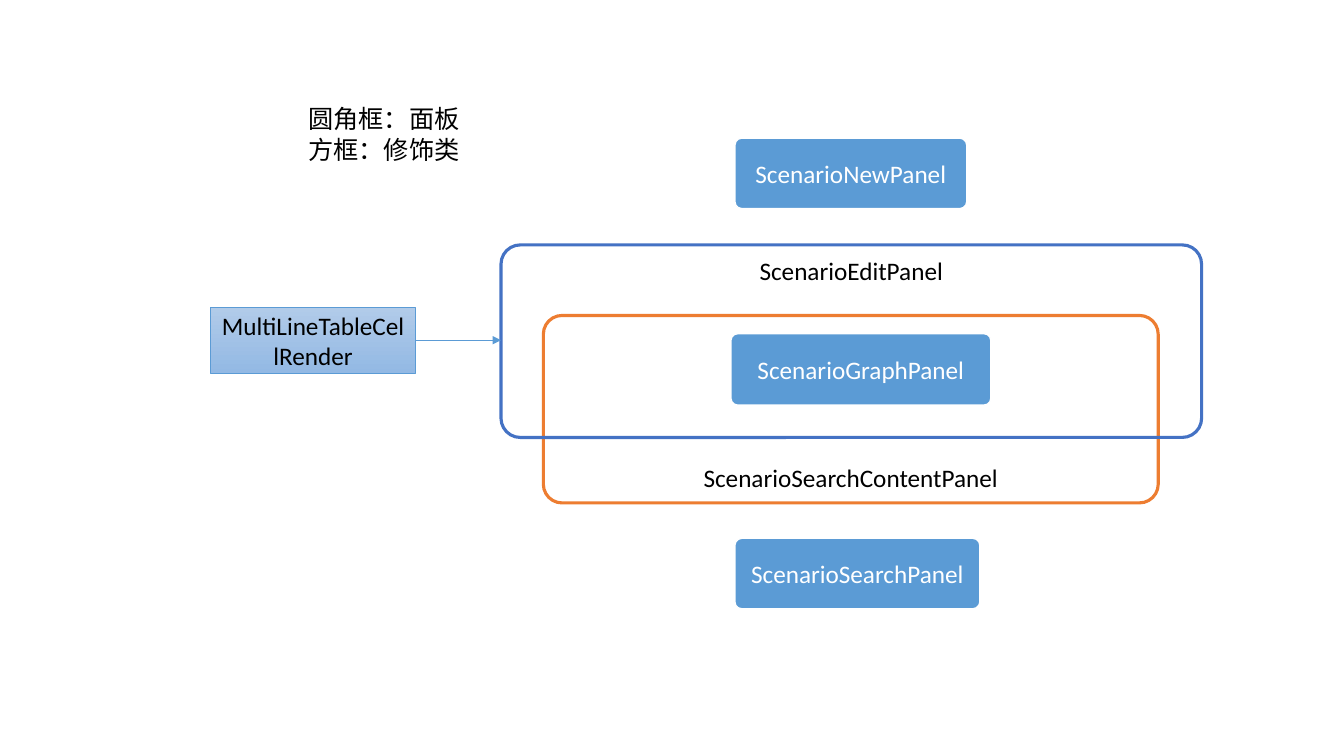
import dataclasses
import typing

import pptx
import pptx.dml.color
import pptx.enum.shapes
import pptx.enum.text
import pptx.oxml
import pptx.oxml.ns
import pptx.util

KIND = pptx.enum.shapes.MSO_SHAPE
ANCHOR = pptx.enum.text.MSO_ANCHOR
ALIGN = pptx.enum.text.PP_ALIGN

BLUE, NAVY, ORANGE = "5B9BD5", "4472C4", "ED7D31"
BLACK, WHITE = "000000", "FFFFFF"

deck = pptx.Presentation()
deck.slide_width = pptx.util.Inches(13.33)
deck.slide_height = pptx.util.Inches(7.5)
slide = deck.slides.add_slide(deck.slide_layouts[6])


@dataclasses.dataclass
class Box:
    """A box with its place in percent of the slide's width and height."""
    text: str
    left: float
    top: float
    width: float
    height: float
    fills: tuple[str, ...] = (BLUE,)
    line: str = WHITE
    weight: float = 1
    ink: str = WHITE
    anchor: typing.Any = ANCHOR.MIDDLE
    kind: typing.Any = KIND.ROUNDED_RECTANGLE


def color(code: str) -> pptx.dml.color.RGBColor:
    return pptx.dml.color.RGBColor.from_string(code)


def across(share: float) -> int:
    return round(deck.slide_width * share / 100)


def down(share: float) -> int:
    return round(deck.slide_height * share / 100)


def write(frame: typing.Any, lines: list[str], ink: str, align: typing.Any) -> None:
    frame.word_wrap = True
    for place, line in enumerate(lines):
        para = frame.add_paragraph() if place else frame.paragraphs[0]
        para.alignment = align
        run = para.add_run()
        run.text = line
        run.font.name = "Calibri"
        run.font.size = pptx.util.Pt(18)
        run.font.color.rgb = color(ink)


def paint(fill: typing.Any, codes: tuple[str, ...]) -> None:
    if not codes:
        fill.background()
    elif len(codes) == 1:
        fill.solid()
        fill.fore_color.rgb = color(codes[0])
    else:
        fill.gradient()
        fill.gradient_angle = 270
        for stop, code in zip(fill.gradient_stops, codes):
            stop.color.rgb = color(code)


def draw(box: Box) -> typing.Any:
    shape = slide.shapes.add_shape(
        box.kind, across(box.left), down(box.top), across(box.width), down(box.height))
    shape.shadow.inherit = False
    if box.kind == KIND.ROUNDED_RECTANGLE:
        shape.adjustments[0] = 0.1
    paint(shape.fill, box.fills)
    shape.line.color.rgb = color(box.line)
    shape.line.width = pptx.util.Pt(box.weight)
    shape.text_frame.vertical_anchor = box.anchor
    write(shape.text_frame, [box.text], box.ink, ALIGN.CENTER)
    return shape


def arrow(start: typing.Any, end: typing.Any) -> None:
    """Join the right side of one box to the left side of another."""
    level = start.top + start.height // 2
    link = slide.shapes.add_connector(
        pptx.enum.shapes.MSO_CONNECTOR.STRAIGHT,
        start.left + start.width, level, end.left, level)
    link.line.color.rgb = color(BLUE)
    link.line.width = pptx.util.Pt(0.5)
    space = pptx.oxml.ns.nsdecls("a")
    link.line._get_or_add_ln().append(
        pptx.oxml.parse_xml(f'<a:tailEnd {space} type="triangle"/>'))
    link._element.spPr.append(pptx.oxml.parse_xml(f"<a:effectLst {space}/>"))


# Outer panels
draw(Box("ScenarioSearchContentPanel", 40.43, 41.73, 45.75, 24.8,
         (WHITE,), ORANGE, 2.25, BLACK, ANCHOR.BOTTOM))
edit = draw(Box("ScenarioEditPanel", 37.28, 32.4, 52.13, 25.47,
                (), NAVY, 2.25, BLACK, ANCHOR.TOP))

# Solid panels
for panel in (
    Box("ScenarioGraphPanel", 54.38, 44.13, 19.35, 9.47),
    Box("ScenarioSearchPanel", 54.68, 71.2, 18.23, 9.33),
    Box("ScenarioNewPanel", 54.68, 18.27, 17.25, 9.33),
):
    draw(panel)

# Decorator class and its arrow
render = draw(Box("MultiLineTableCellRender", 15.68, 40.67, 15.23, 8.67,
                  ("B1CBE9", "93B9E4"), BLUE, 0.5, BLACK, kind=KIND.RECTANGLE))
arrow(render, edit)

# Legend
legend = slide.shapes.add_textbox(across(22.2), down(13.07), across(14.48), down(9.47))
write(legend.text_frame, ["圆角框：面板", "方框：修饰类"], BLACK, ALIGN.LEFT)

deck.save("out.pptx")
